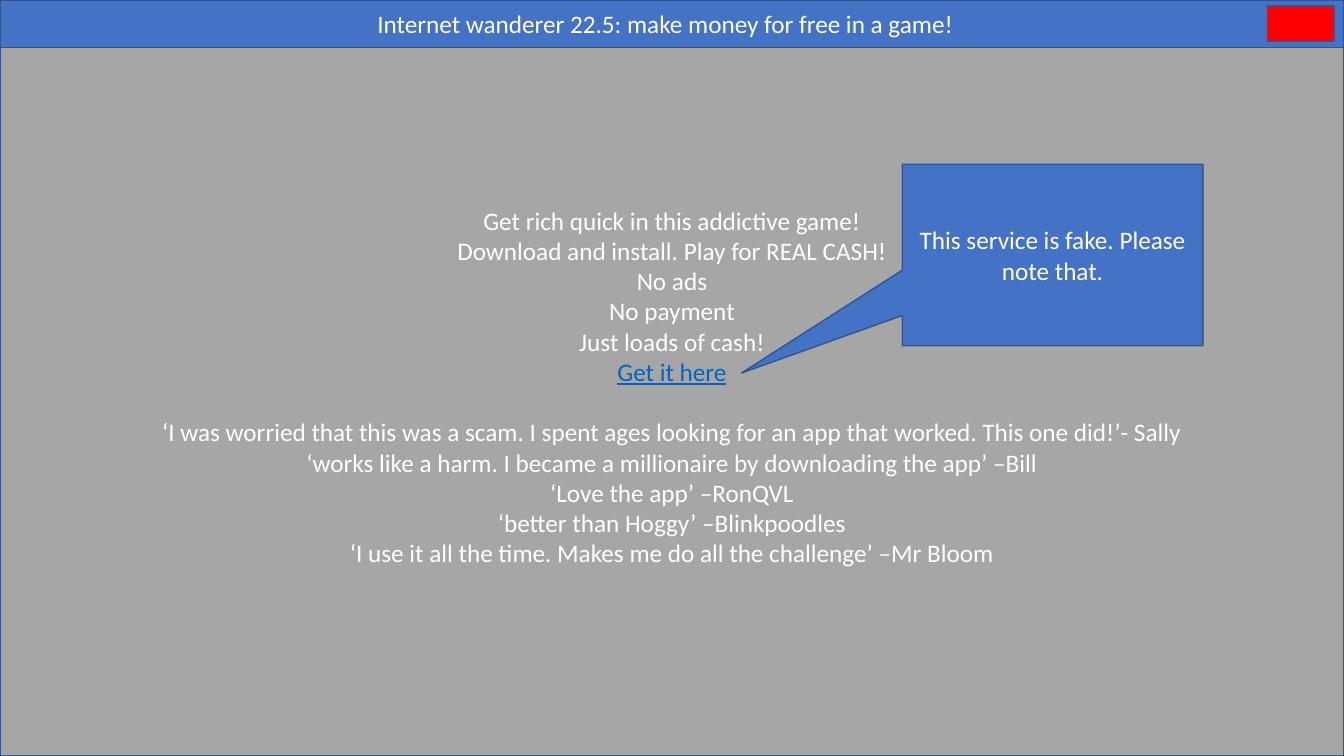
from dataclasses import dataclass

import pptx
import pptx.dml.color
import pptx.enum.shapes
import pptx.enum.text
import pptx.util
from pptx.util import Inches

COLORS = {
    "blue": "4472C4",
    "outline": "325491",
    "page": "A6A6A6",
    "close": "FF0000",
    "text": "FFFFFF",
    "link": "0563C1",
}
FONT = "Calibri"
TEXT_SIZE = 18
LINE_HEIGHT = 21.6  # points taken by one line of text
SLIDE_WIDTH, SLIDE_HEIGHT = 13.33, 7.5
BAR_HEIGHT = 0.47
RECTANGLE = pptx.enum.shapes.MSO_SHAPE.RECTANGLE
CALLOUT = pptx.enum.shapes.MSO_SHAPE.RECTANGULAR_CALLOUT


@dataclass
class Panel:
    left: float
    top: float
    width: float
    height: float
    fill: str
    lines: tuple[str, ...] = ()
    preset: pptx.enum.shapes.MSO_SHAPE = RECTANGLE
    adjustments: tuple[float, ...] = ()
    margin_right: float = 0.1
    margin_bottom: float = 0.05


LINK = "Get it here"
PITCH = (
    "Get rich quick in this addictive game!",
    "Download and install. Play for REAL CASH!",
    "No ads",
    "No payment",
    "Just loads of cash!",
    LINK,
)
REVIEWS = (
    "‘I was worried that this was a scam. I spent ages looking for an app that worked. This one did!’- Sally",
    "‘works like a harm. I became a millionaire by downloading the app’ –Bill",
    "‘Love the app’ –RonQVL",
    "‘better than Hoggy’ –Blinkpoodles",
    "‘I use it all the time. Makes me do all the challenge’ –Mr Bloom",
)

PANELS = (
    # Title bar
    Panel(0, 0, SLIDE_WIDTH, BAR_HEIGHT, "blue",
          ("Internet wanderer 22.5: make money for free in a game!",),
          margin_right=0.23),
    # Page body
    Panel(0, BAR_HEIGHT, SLIDE_WIDTH, SLIDE_HEIGHT - BAR_HEIGHT, "page",
          PITCH + REVIEWS, margin_bottom=0.35),
    # Close button
    Panel(12.57, 0.06, 0.66, 0.35, "close"),
    # Warning
    Panel(8.95, 1.63, 2.98, 1.8, "blue",
          ("This service is fake. Please note that.",),
          CALLOUT, (-1.036, 0.651)),
)


def color(name: str) -> pptx.dml.color.RGBColor:
    return pptx.dml.color.RGBColor.from_string(COLORS[name])


def write_lines(frame: pptx.text.text.TextFrame, panel: Panel) -> None:
    frame.word_wrap = True
    frame.vertical_anchor = pptx.enum.text.MSO_ANCHOR.MIDDLE
    frame.margin_right = Inches(panel.margin_right)
    frame.margin_bottom = Inches(panel.margin_bottom)
    frame.text = "\n".join(panel.lines)
    for paragraph in frame.paragraphs:
        paragraph.alignment = pptx.enum.text.PP_ALIGN.CENTER
        if paragraph.text == REVIEWS[0]:
            paragraph.space_before = pptx.util.Pt(LINE_HEIGHT)
        for run in paragraph.runs:
            is_link = run.text == LINK
            run.font.name = FONT
            run.font.size = pptx.util.Pt(TEXT_SIZE)
            run.font.color.rgb = color("link" if is_link else "text")
            run.font.underline = is_link


def draw_panel(slide: pptx.slide.Slide, panel: Panel) -> None:
    shape = slide.shapes.add_shape(
        panel.preset, Inches(panel.left), Inches(panel.top),
        Inches(panel.width), Inches(panel.height))
    shape.shadow.inherit = False
    for index, value in enumerate(panel.adjustments):
        shape.adjustments[index] = value
    shape.fill.solid()
    shape.fill.fore_color.rgb = color(panel.fill)
    shape.line.color.rgb = color("outline")
    shape.line.width = pptx.util.Pt(1)
    if panel.lines:
        write_lines(shape.text_frame, panel)


def main() -> None:
    presentation = pptx.Presentation()
    presentation.slide_width = Inches(SLIDE_WIDTH)
    presentation.slide_height = Inches(SLIDE_HEIGHT)
    slide = presentation.slides.add_slide(presentation.slide_layouts[6])
    for panel in PANELS:
        draw_panel(slide, panel)
    presentation.save("out.pptx")


if __name__ == "__main__":
    main()
